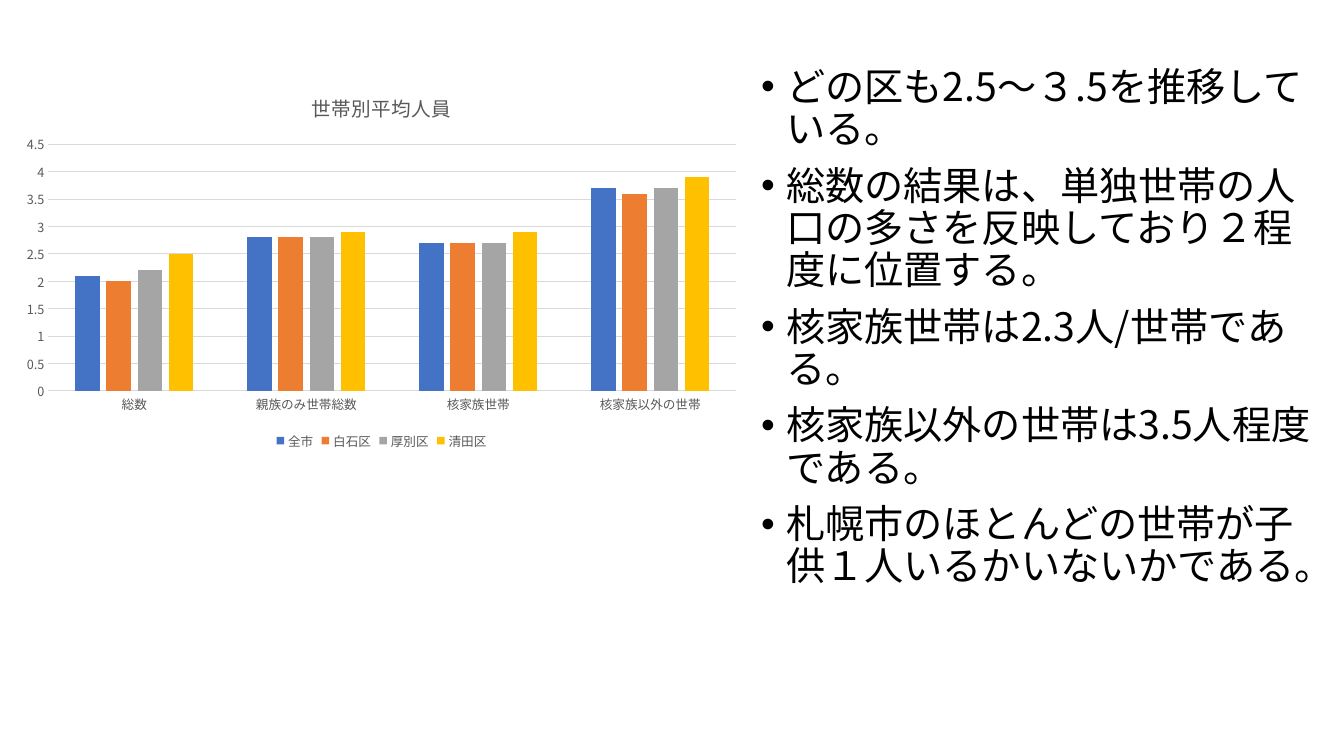
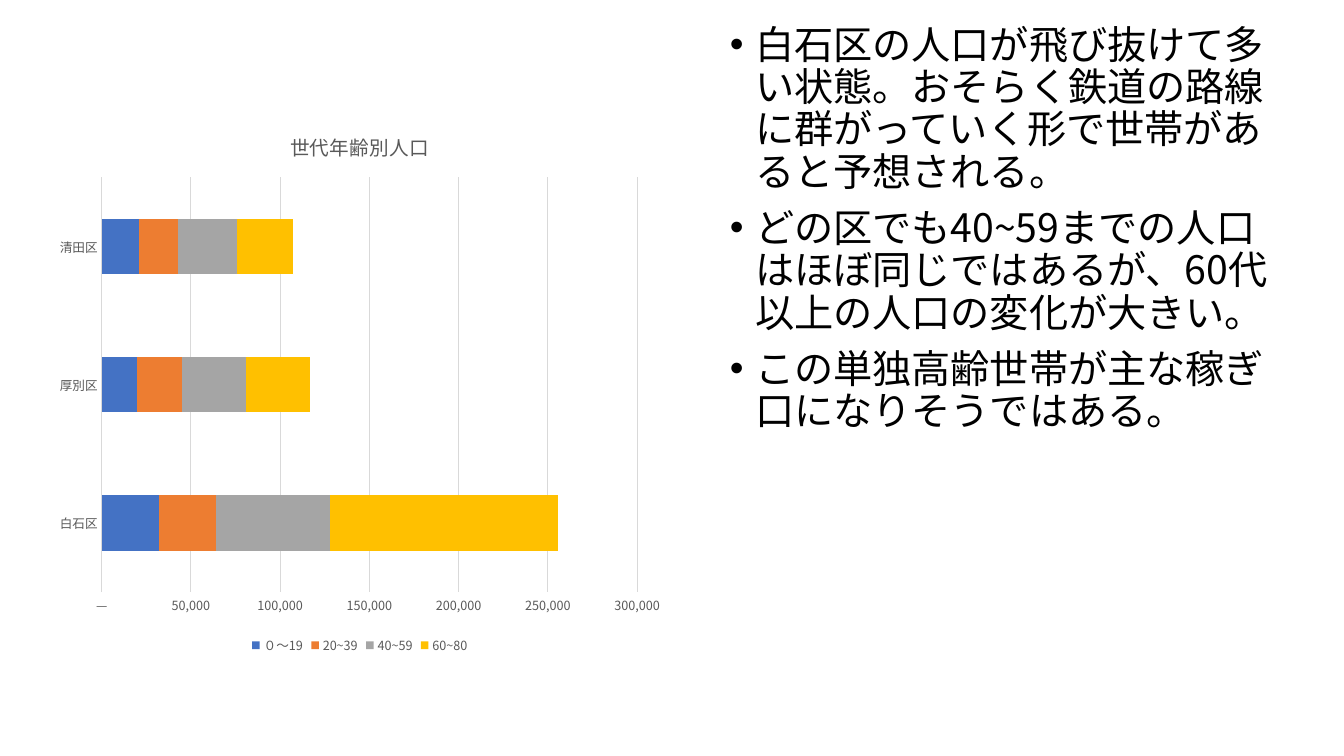
import dataclasses

import lxml.etree
import pptx
import pptx.chart.data
import pptx.dml.color
import pptx.enum.chart
import pptx.enum.lang
import pptx.enum.text
import pptx.oxml.ns
import pptx.util

qn = pptx.oxml.ns.qn


@dataclasses.dataclass(frozen=True)
class Theme:
    font: str = "Noto Sans CJK JP"
    paper: str = "FFFFFF"
    ink: str = "000000"
    label: str = "595959"
    rule: str = "D9D9D9"
    series: tuple = ("4472C4", "ED7D31", "A5A5A5", "FFC000")
    body_size: int = 28
    title_size: int = 14
    chart_size: int = 10
    label_size: int = 9
    rule_width: float = 0.75


THEME = Theme()
WIDTH = pptx.util.Inches(13.33)
HEIGHT = pptx.util.Inches(7.5)
COLUMNS, ROWS = 80, 45
INDENT = pptx.util.Inches(0.25)

HOUSEHOLDS = dict(
    chart_box=(0.72, 4.44, 43.98, 22.56),
    text_box=(44.7, 3.72, 34.62, 36.84),
    points=[
        "どの区も2.5〜３.5を推移している。",
        "総数の結果は、単独世帯の人口の多さを反映しており２程度に位置する。",
        "核家族世帯は2.3人/世帯である。",
        "核家族以外の世帯は3.5人程度である。",
        "札幌市のほとんどの世帯が子供１人いるかいないかである。",
    ],
    chart=dict(
        kind=pptx.enum.chart.XL_CHART_TYPE.COLUMN_CLUSTERED,
        title="世帯別平均人員",
        categories=["総数", "親族のみ世帯総数", "核家族世帯", "核家族以外の世帯"],
        series={
            "全市": [2.1, 2.8, 2.7, 3.7],
            "白石区": [2, 2.8, 2.7, 3.6],
            "厚別区": [2.2, 2.8, 2.7, 3.7],
            "清田区": [2.5, 2.9, 2.9, 3.9],
        },
        gap=219, overlap=-27, top=4.5, step=0.5, number_format="General",
    ),
)

GENERATIONS = dict(
    chart_box=(2.82, 6.54, 37.2, 32.64),
    text_box=(42.84, 1.2, 34.32, 39.36),
    points=[
        "白石区の人口が飛び抜けて多い状態。おそらく鉄道の路線に群がっていく形で世帯があると予想される。",
        "どの区でも40~59までの人口はほぼ同じではあるが、60代以上の人口の変化が大きい。",
        "この単独高齢世帯が主な稼ぎ口になりそうではある。",
    ],
    chart=dict(
        kind=pptx.enum.chart.XL_CHART_TYPE.BAR_STACKED,
        title="世代年齢別人口",
        categories=["白石区", "厚別区", "清田区"],
        series={
            "０〜19": [32000, 20000, 21000],
            "20~39": [32000, 25000, 22000],
            "40~59": [64000, 36000, 33000],
            "60~80": [128000, 36000, 31000],
        },
        gap=150, overlap=100, top=300000, step=50000,
        number_format='#,##0;-#,##0;"—"',
    ),
)


def place(box):
    column, row, columns, rows = box
    return (
        round(WIDTH * column / COLUMNS),
        round(HEIGHT * row / ROWS),
        round(WIDTH * columns / COLUMNS),
        round(HEIGHT * rows / ROWS),
    )


def color(value):
    return pptx.dml.color.RGBColor.from_string(value)


def format_font(font, size, ink):
    font.name = THEME.font
    font.size = pptx.util.Pt(size)
    font.bold = False
    font.color.rgb = color(ink)


def write_text(para, text, size=THEME.body_size, ink=THEME.ink):
    span = para.add_run()
    span.text = text
    format_font(span.font, size, ink)
    span.font.language_id = pptx.enum.lang.MSO_LANGUAGE_ID.JAPANESE


def set_east_asian_font(element):
    for latin in list(element.iter(qn("a:latin"))):
        east_asian = lxml.etree.Element(qn("a:ea"), typeface=THEME.font)
        latin.addnext(east_asian)


def add_bullet(para):
    properties = para._p.get_or_add_pPr()
    properties.set("marL", str(INDENT))
    properties.set("indent", str(-INDENT))
    lxml.etree.SubElement(properties, qn("a:buFont"), typeface="Arial")
    lxml.etree.SubElement(properties, qn("a:buChar"), char="•")


def fill_points(body, box, points):
    body.left, body.top, body.width, body.height = place(box)
    frame = body.text_frame
    frame.word_wrap = True
    frame.auto_size = pptx.enum.text.MSO_AUTO_SIZE.NONE
    frame.vertical_anchor = pptx.enum.text.MSO_ANCHOR.TOP
    for index, point in enumerate(points):
        para = frame.add_paragraph() if index else frame.paragraphs[0]
        para.line_spacing = 0.9
        para.space_before = pptx.util.Pt(10)
        para.alignment = pptx.enum.text.PP_ALIGN.LEFT
        add_bullet(para)
        write_text(para, point)
    set_east_asian_font(body.element)


def format_rule(line):
    line.color.rgb = color(THEME.rule)
    line.width = pptx.util.Pt(THEME.rule_width)


def format_axes(chart, top, step, number_format):
    for axis in (chart.category_axis, chart.value_axis):
        axis.major_tick_mark = pptx.enum.chart.XL_TICK_MARK.NONE
        axis.minor_tick_mark = pptx.enum.chart.XL_TICK_MARK.NONE
        format_font(axis.tick_labels.font, THEME.label_size, THEME.label)
    format_rule(chart.category_axis.format.line)
    values = chart.value_axis
    values.minimum_scale, values.maximum_scale = 0, top
    values.major_unit = step
    values.format.line.fill.background()
    values.has_major_gridlines = True
    format_rule(values.major_gridlines.format.line)
    values.tick_labels.number_format = number_format
    values.tick_labels.number_format_is_linked = False


def add_bars(page, box, kind, title, categories, series, gap, overlap, **scale):
    data = pptx.chart.data.CategoryChartData()
    data.categories = categories
    for name, values in series.items():
        data.add_series(name, values)
    chart = page.shapes.add_chart(kind, *place(box), data).chart
    format_font(chart.font, THEME.chart_size, THEME.ink)

    chart.has_title = True
    para = chart.chart_title.text_frame.paragraphs[0]
    write_text(para, title, size=THEME.title_size, ink=THEME.label)
    chart.chart_title.include_in_layout = False

    chart.has_legend = True
    chart.legend.position = pptx.enum.chart.XL_LEGEND_POSITION.BOTTOM
    chart.legend.include_in_layout = False
    format_font(chart.legend.font, THEME.label_size, THEME.label)

    plot = chart.plots[0]
    plot.gap_width, plot.overlap = gap, overlap
    plot.vary_by_categories = False
    for bars, fill in zip(plot.series, THEME.series):
        bars.invert_if_negative = False
        bars.format.fill.solid()
        bars.format.fill.fore_color.rgb = color(fill)
    format_axes(chart, **scale)
    set_east_asian_font(chart.element)


def add_chart_page(deck, chart_box, text_box, points, chart):
    page = deck.slides.add_slide(deck.slide_layouts.get_by_name("Title and Content"))
    heading = page.shapes.title.element
    heading.getparent().remove(heading)
    page.background.fill.solid()
    page.background.fill.fore_color.rgb = color(THEME.paper)
    fill_points(page.placeholders[1], text_box, points)
    add_bars(page, chart_box, **chart)


def main():
    deck = pptx.Presentation()
    deck.slide_width, deck.slide_height = WIDTH, HEIGHT
    for content in (HOUSEHOLDS, GENERATIONS):
        add_chart_page(deck, **content)
    deck.save("out.pptx")


if __name__ == "__main__":
    main()
